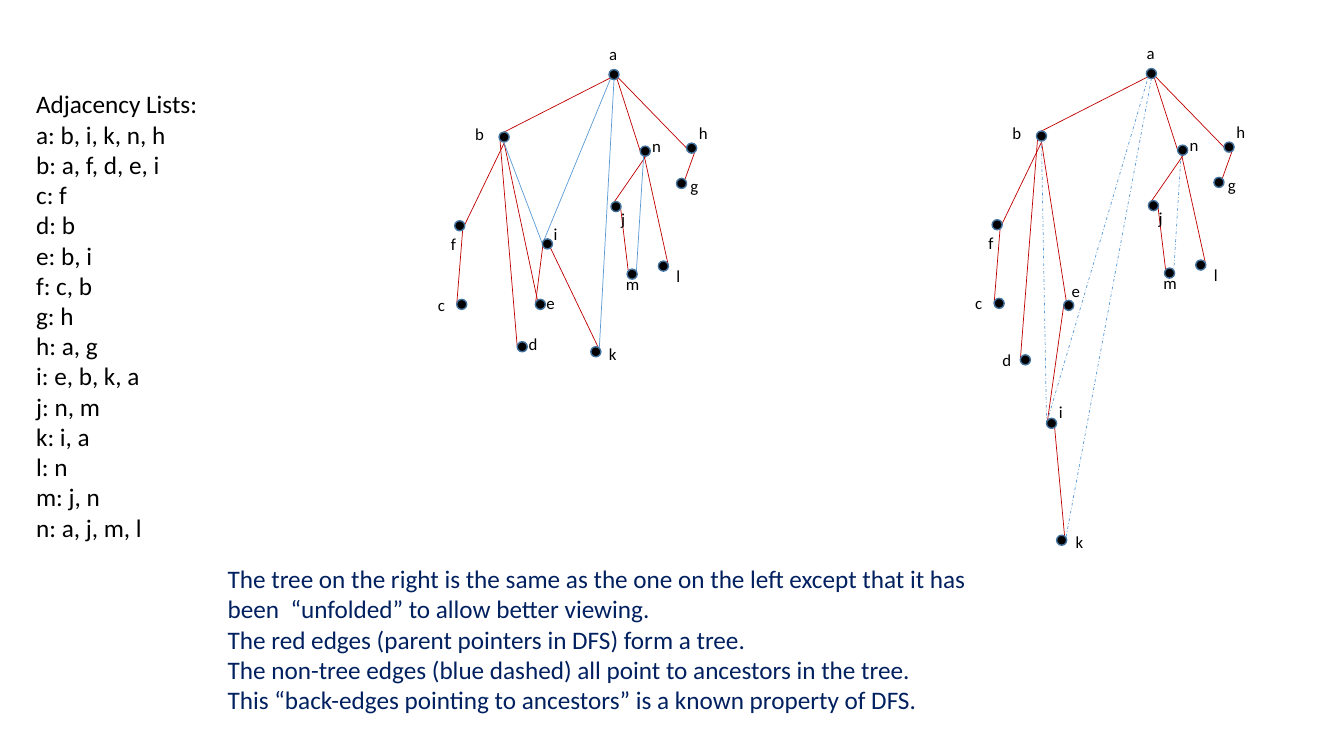
from lxml import etree
from pptx import Presentation
from pptx.dml.color import RGBColor
from pptx.enum.dml import MSO_LINE
from pptx.enum.shapes import MSO_CONNECTOR, MSO_SHAPE
from pptx.enum.text import MSO_AUTO_SIZE
from pptx.oxml.ns import qn
from pptx.util import Inches, Pt

STRAIGHT = MSO_CONNECTOR.STRAIGHT
OVAL = MSO_SHAPE.OVAL
DASH_DOT = MSO_LINE.DASH_DOT
GROW = MSO_AUTO_SIZE.SHAPE_TO_FIT_TEXT

COLORS = {
    "black": "000000",
    "navy": "002060",
    "tree": "C00000",
    "back": "5B9BD5",
    "rim": "43739E",
}
FONT = "Calibri"
CELL = Inches(0.01)
DOT = 10

prs = Presentation()
prs.slide_width, prs.slide_height = Inches(13.33), Inches(7.5)
s = prs.slides.add_slide(prs.slide_layouts[6])


def add_text(box, lines, size, color, wrap=True):
    sp = s.shapes.add_textbox(*[v * CELL for v in box])
    tf = sp.text_frame
    tf.word_wrap = wrap
    tf.auto_size = GROW
    tf.text = "\n".join(lines)
    for p in tf.paragraphs:
        for r in p.runs:
            r.font.name = FONT
            r.font.size = Pt(size)
            r.font.color.rgb = RGBColor.from_string(COLORS[color])


def add_edge(start, end, color, dash):
    ends = [v * CELL for v in (*start, *end)]
    sp = s.shapes.add_connector(STRAIGHT, *ends)
    sp.line.color.rgb = RGBColor.from_string(COLORS[color])
    sp.line.width = Pt(0.5)
    if dash:
        sp.line.dash_style = dash
    etree.SubElement(sp._element.spPr, qn("a:effectLst"))


# name: dot x, dot y, label dx, label dy, label width
folded = {
    "a": (604, 69, -8, -31, 18),
    "b": (495, 131, -26, -13, 12),
    "c": (453, 297, -21, -10, 12),
    "d": (513, 339, 9, -13, 12),
    "e": (531, 297, 1, -11, 22),
    "f": (451, 219, -12, 8, 18),
    "g": (671, 177, 4, -8, 22),
    "h": (681, 142, 4, -25, 18),
    "i": (538, 237, 3, -20, 18),
    "j": (606, 200, 2, 2, 18),
    "k": (586, 344, 8, -8, 22),
    "l": (653, 259, 8, 0, 22),
    "m": (622, 267, -11, 0, 22),
    "n": (635, 145, 2, -15, 22),
}
unfolded = folded | {
    "d": (479, 353, -20, -10, 12),
    "e": (522, 299, -2, -24, 22),
    "i": (505, 416, 4, -21, 18),
    "k": (515, 532, 9, -8, 22),
}
edges = {
    "tree": [
        ("b", 5, 0, "a", 2, 8),
        ("n", 0, 5, "a", 5, 0),
        ("h", 0, 5, "a", 9, 8),
        ("f", 8, 8, "b", 5, 11),
        ("e", 4, 10, "b", 5, 11),
        ("b", 1, 9, "d", 0, 5),
        ("f", 8, 8, "c", 0, 5),
        ("e", 0, 5, "i", 1, 2),
        ("k", 8, 2, "i", 8, 9),
        ("n", 9, 5, "j", 0, 5),
        ("m", 1, 1, "j", 9, 2),
        ("l", 10, 5, "n", 4, 10),
        ("g", 8, 2, "h", 8, 9),
    ],
    "back": [
        ("i", 0, 5, "b", 5, 11),
        ("i", 0, 5, "a", 2, 8),
        ("k", 8, 9, "a", 5, 10),
        ("n", 4, 0, "m", 9, 5),
    ],
}

for nodes, left, top, back_dash in ((folded, 0, 0, None), (unfolded, 533, -1, DASH_DOT)):
    dots = {name: (left + x, top + y) for name, (x, y, *_) in nodes.items()}
    for kind, pairs in edges.items():
        for u, ux, uy, v, vx, vy in pairs:
            start = dots[u][0] + ux, dots[u][1] + uy
            end = dots[v][0] + vx, dots[v][1] + vy
            add_edge(start, end, kind, back_dash if kind == "back" else None)
    for name, (_, _, dx, dy, width) in nodes.items():
        x, y = dots[name]
        sp = s.shapes.add_shape(OVAL, x * CELL, y * CELL, DOT * CELL, DOT * CELL)
        sp.shadow.inherit = False
        sp.fill.solid()
        sp.fill.fore_color.rgb = RGBColor.from_string(COLORS["black"])
        sp.line.color.rgb = RGBColor.from_string(COLORS["rim"])
        sp.line.width = Pt(1)
        add_text((x + dx, y + dy, width, 30), [name], 12, "black", width > 12)

adjacency = [
    "Adjacency Lists:",
    "a: b, i, k, n, h",
    "b: a, f, d, e, i",
    "c: f",
    "d: b",
    "e: b, i",
    "f: c, b",
    "g: h",
    "h: a, g",
    "i: e, b, k, a",
    "j: n, m",
    "k: i, a",
    "l: n",
    "m: j, n",
    "n: a, j, m, l",
]
remarks = [
    "The tree on the right is the same as the one on the left except that it has "
    "been  “unfolded” to allow better viewing.",
    "The red edges (parent pointers in DFS) form a tree.",
    "The non-tree edges (blue dashed) all point to ancestors in the tree.",
    "This “back-edges pointing to ancestors” is a known property of DFS.",
]
add_text((26, 83, 245, 495), adjacency, 18, "black")
add_text((216, 554, 783, 192), remarks, 18, "navy")

prs.save("out.pptx")
